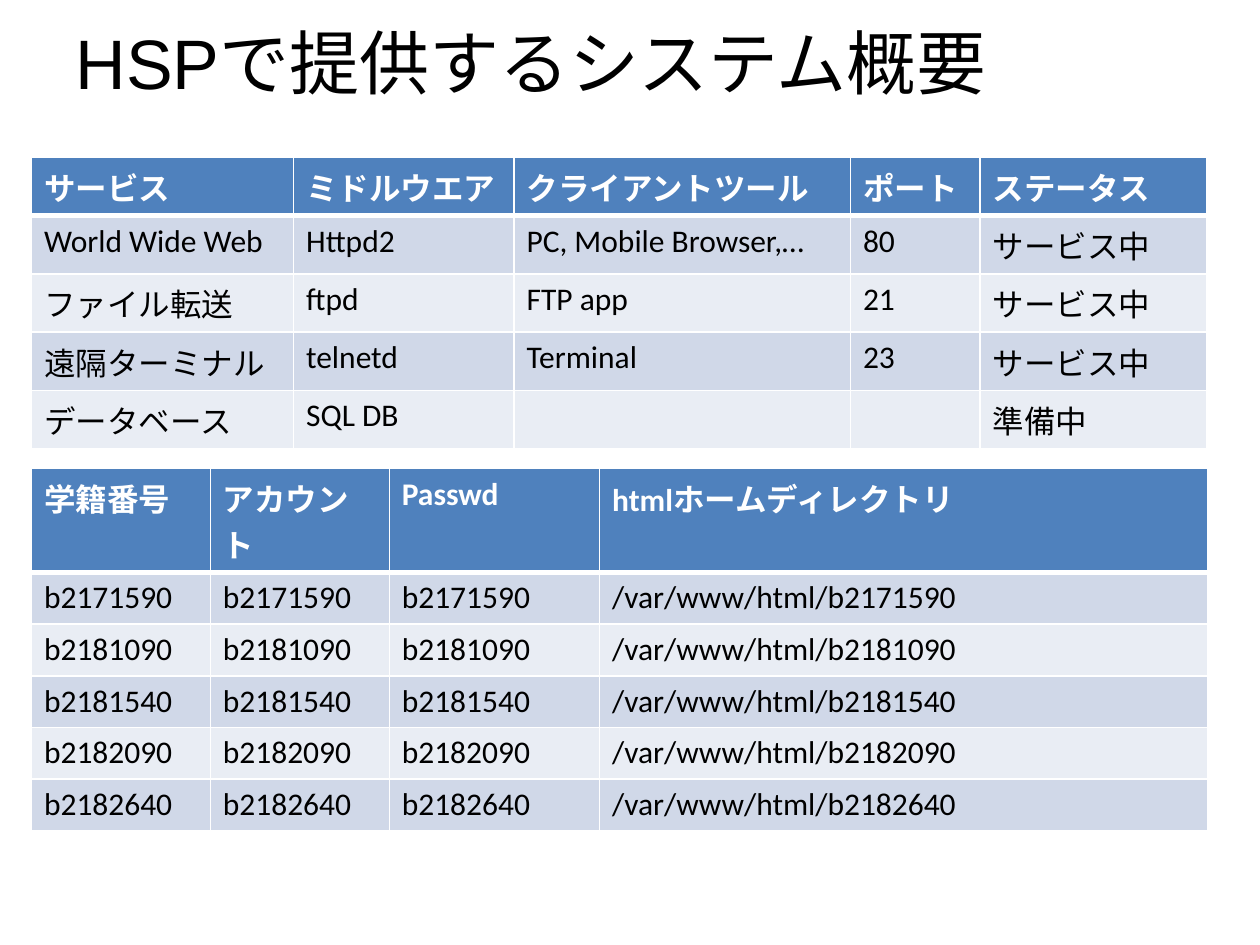
import pptx
import pptx.util
import pptx.dml.color
import pptx.enum.text
import pptx.oxml
import pptx.oxml.ns

UNIT = 9144  # EMU in one px, 100 px to the inch
HUES = {"head": "4F81BD", "odd": "D0D8E8", "even": "E9EDF4",
        "white": "FFFFFF", "black": "000000"}
SIDES = ("L", "R", "T", "B")
ROW = 41

TOOLS = [
    ("サービス", "ミドルウエア", "クライアントツール", "ポート", "ステータス"),
    ("World Wide Web", "Httpd2", "PC, Mobile Browser,…", "80", "サービス中"),
    ("ファイル転送", "ftpd", "FTP app", "21", "サービス中"),
    ("遠隔ターミナル", "telnetd", "Terminal", "23", "サービス中"),
    ("データベース", "SQL DB", "", "", "準備中"),
]
USERS = ("b2171590", "b2181090", "b2181540", "b2182090", "b2182640")
LOGINS = [("学籍番号", "アカウント", "Passwd", "htmlホームディレクトリ")]
LOGINS += [(user, user, user, f"/var/www/html/{user}") for user in USERS]


def px(num):
    return pptx.util.Emu(num * UNIT)


def color(name):
    return pptx.dml.color.RGBColor.from_string(HUES[name])


def style(para, font, size, hue, bold=False):
    for run in para.runs:
        run.font.name = font
        run.font.size = pptx.util.Pt(size)
        run.font.bold = bold
        run.font.color.rgb = color(hue)


def edge(cell, head):
    """Draw white cell borders, thicker below the header."""
    props = cell._tc.get_or_add_tcPr()
    for spot, side in enumerate(SIDES):
        width = pptx.util.Pt(3 if head and side == "B" else 1)
        line = pptx.oxml.parse_xml(
            f'<a:ln{side} {pptx.oxml.ns.nsdecls("a")} w="{width}"><a:solidFill>'
            f'<a:srgbClr val="{HUES["white"]}"/></a:solidFill></a:ln{side}>')
        props.insert(spot, line)


def add_title(slide, box, text):
    title = slide.shapes.title
    title.left, title.top, title.width, title.height = map(px, box)
    frame = title.text_frame
    frame.text = text
    frame.vertical_anchor = pptx.enum.text.MSO_ANCHOR.MIDDLE
    frame.paragraphs[0].alignment = pptx.enum.text.PP_ALIGN.LEFT
    style(frame.paragraphs[0], "Arial", 40, "black")


def add_grid(slide, left, top, cols, rows):
    """Place a banded table whose columns have the given widths."""
    table = slide.shapes.add_table(
        len(rows), len(cols), px(left), px(top),
        px(sum(cols)), px(ROW * len(rows))).table
    for col, width in zip(table.columns, cols):
        col.width = px(width)
    for r, row in enumerate(rows):
        head = r == 0
        band = "head" if head else "odd" if r % 2 else "even"
        for c, text in enumerate(row):
            cell = table.cell(r, c)
            cell.text_frame.text = text
            cell.fill.solid()
            cell.fill.fore_color.rgb = color(band)
            edge(cell, head)
            style(cell.text_frame.paragraphs[0], "Calibri", 18,
                  "white" if head else "black", head)


def main():
    deck = pptx.Presentation()
    deck.slide_width, deck.slide_height = px(1000), px(750)
    slide = deck.slides.add_slide(deck.slide_layouts[5])
    # Title
    add_title(slide, (50, 0, 900, 97), "HSPで提供するシステム概要")
    # Services, then accounts
    add_grid(slide, 25, 125, (208, 175, 267, 103, 180), TOOLS)
    add_grid(slide, 25, 372, (142, 142, 167, 483), LOGINS)
    deck.save("out.pptx")


if __name__ == "__main__":
    main()
